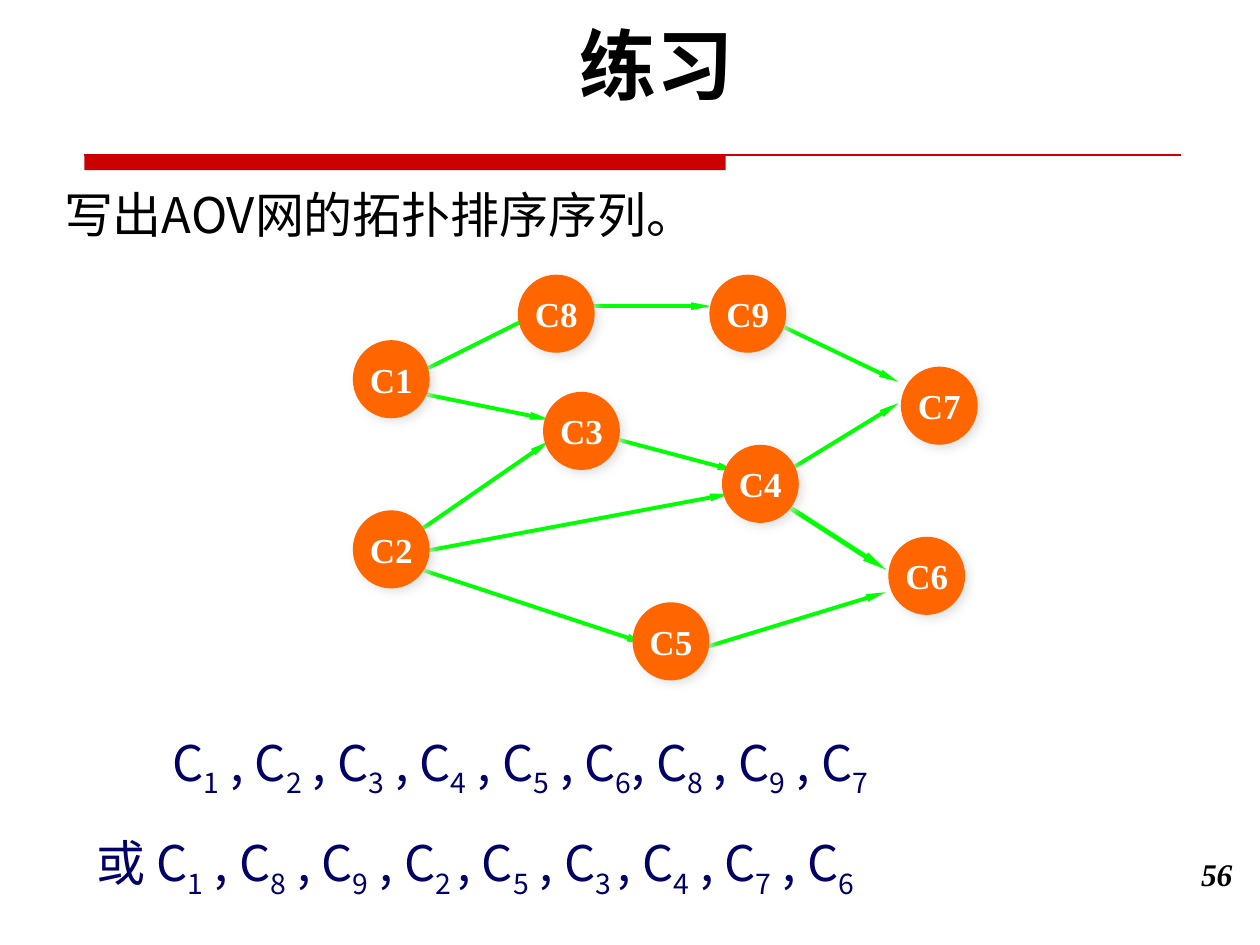
"""Build the exercise slide on topological sorting of an AOV network."""
from dataclasses import dataclass

import pptx
import pptx.dml.color
import pptx.enum.shapes
import pptx.enum.text
import pptx.oxml
import pptx.oxml.ns
import pptx.util
from pptx.util import Inches

ALIGN = pptx.enum.text.PP_ALIGN
ANCHOR = pptx.enum.text.MSO_ANCHOR
SHAPE = pptx.enum.shapes.MSO_SHAPE
STRAIGHT = pptx.enum.shapes.MSO_CONNECTOR.STRAIGHT


@dataclass(frozen=True)
class Theme:
    """Colours, fonts and type sizes of the slide."""
    rule: str = "CC0000"
    edge: str = "00FF00"
    node: str = "FF6600"
    node_text: str = "FFFFFF"
    shadow: str = "DDDDDD"
    answer: str = "000066"
    text: str = "000000"
    title_font: str = "Lato"
    body_font: str = "Noto Sans CJK SC"
    label_font: str = "Times New Roman"
    title_size: int = 44
    body_size: int = 28
    node_size: int = 20
    number_size: int = 18


@dataclass(frozen=True)
class Box:
    """A region of the slide in inches."""
    left: float
    top: float
    width: float
    height: float

    def lengths(self):
        """Return the region as slide lengths."""
        return [Inches(value) for value in (self.left, self.top, self.width, self.height)]


THEME = Theme()
NODE_WIDTH, NODE_HEIGHT = 0.61, 0.62
NODES = {
    "C8": (1.31, 0), "C3": (1.51, 0.93), "C5": (2.22, 2.6),
    "C4": (2.93, 1.35), "C9": (2.83, 0), "C6": (4.25, 2.08),
    "C7": (4.35, 0.73), "C1": (0, 0.52), "C2": (0, 1.87),
}
EDGES = [
    (3.3, 1.74, 4.23, 2.34, 2.75),
    (0.33, 2.27, 2.33, 2.93, 2.25),
    (0.43, 2.1, 1.56, 1.32, 2.25),
    (0.38, 0.91, 1.56, 1.15, 2.25),
    (0.38, 0.85, 1.46, 0.31, 2.25),
    (1.76, 0.25, 2.84, 0.25, 2.25),
    (1.92, 1.26, 3.05, 1.56, 2.25),
    (0.43, 2.22, 2.99, 1.74, 2.25),
    (3.2, 0.31, 4.33, 0.85, 2.25),
    (3.35, 1.62, 4.33, 1.02, 2.25),
    (2.69, 2.99, 4.23, 2.52, 2.25),
]
ANSWERS = [
    (0.6, "C_1_ , C_2_ , C_3_ , C_4_ , C_5_ , C_6_, C_8_ , C_9_ , C_7"),
    (0, "或 C_1_ , C_8_ , C_9_ , C_2 _, C_5_ , C_3 _, C_4_ , C_7_ , C_6"),
]


def rgb(value):
    """Return a colour from its hex code."""
    return pptx.dml.color.RGBColor.from_string(value)


def add_run(paragraph, text, font, size, color, bold=False, italic=False, subscript=False):
    """Add one styled run to a paragraph."""
    run = paragraph.add_run()
    run.text = text
    run.font.name = font
    run.font.size = pptx.util.Pt(size)
    run.font.color.rgb = rgb(color)
    run.font.bold = bold
    run.font.italic = italic
    properties = run.font._element
    east_asian = pptx.oxml.parse_xml(
        f'<a:ea {pptx.oxml.ns.nsdecls("a")} typeface="{THEME.body_font}"/>')
    properties.append(east_asian)
    if subscript:
        properties.set("baseline", "-25000")


def add_text_frame(slide, box, anchor=ANCHOR.TOP):
    """Add a wrapping text box and return its frame."""
    frame = slide.shapes.add_textbox(*box.lengths()).text_frame
    frame.word_wrap = True
    frame.vertical_anchor = anchor
    return frame


def add_line(slide, start, end, color, width):
    """Draw a straight line without a shadow."""
    points = [Inches(value) for value in (*start, *end)]
    connector = slide.shapes.add_connector(STRAIGHT, *points)
    connector.line.color.rgb = rgb(color)
    connector.line.width = pptx.util.Pt(width)
    connector._element.spPr.append(
        pptx.oxml.parse_xml(f'<a:effectLst {pptx.oxml.ns.nsdecls("a")}/>'))
    return connector


def add_solid_shape(slide, kind, box, color):
    """Draw a filled shape without outline or shadow."""
    shape = slide.shapes.add_shape(kind, *box.lengths())
    shape.shadow.inherit = False
    shape.fill.solid()
    shape.fill.fore_color.rgb = rgb(color)
    shape.line.fill.background()
    return shape


def add_title_rule(slide, box):
    """Draw the thick bar and the thin rule below the title."""
    bar = Box(box.left, box.top, 5.09, box.height)
    add_solid_shape(slide, SHAPE.RECTANGLE, bar, THEME.rule)
    add_line(slide, (box.left, box.top), (box.left + box.width, box.top), THEME.rule, 0.75)


def add_title(slide, box):
    """Write the centred title."""
    paragraph = add_text_frame(slide, box).paragraphs[0]
    paragraph.alignment = ALIGN.CENTER
    paragraph.line_spacing = 0.9
    add_run(paragraph, "练习", THEME.title_font, THEME.title_size, THEME.text, bold=True)


def add_question(slide, box):
    """Write the question above the graph."""
    frame = add_text_frame(slide, box, ANCHOR.BOTTOM)
    add_run(frame.paragraphs[0], "写出AOV网的拓扑排序序列。",
            THEME.body_font, THEME.body_size, THEME.text)


def add_edge(slide, box, edge):
    """Draw one arrow of the graph."""
    x1, y1, x2, y2, width = edge
    connector = add_line(slide, (box.left + x1, box.top + y1),
                         (box.left + x2, box.top + y2), THEME.edge, width)
    connector.line._get_or_add_ln().append(pptx.oxml.parse_xml(
        f'<a:tailEnd {pptx.oxml.ns.nsdecls("a")} type="triangle" w="sm" len="lg"/>'))


def add_node(slide, box, label):
    """Draw one labelled graph node with a soft shadow."""
    node = add_solid_shape(slide, SHAPE.OVAL, box, THEME.node)
    effects = node._element.spPr.find(pptx.oxml.ns.qn("a:effectLst"))
    effects.append(pptx.oxml.parse_xml(
        f'<a:outerShdw {pptx.oxml.ns.nsdecls("a")} blurRad="63500" dist="38100" dir="2700000">'
        f'<a:srgbClr val="{THEME.shadow}"><a:alpha val="75000"/></a:srgbClr></a:outerShdw>'))
    frame = node.text_frame
    frame.word_wrap = False
    frame.vertical_anchor = ANCHOR.MIDDLE
    paragraph = frame.paragraphs[0]
    paragraph.alignment = ALIGN.CENTER
    add_run(paragraph, label, THEME.label_font, THEME.node_size, THEME.node_text, bold=True)


def add_graph(slide, box):
    """Draw the AOV network with its arrows behind the nodes."""
    for edge in EDGES:
        add_edge(slide, box, edge)
    for label, (x, y) in NODES.items():
        add_node(slide, Box(box.left + x, box.top + y, NODE_WIDTH, NODE_HEIGHT), label)


def add_answers(slide, box):
    """Write the sorted sequences, with subscripts between underscores."""
    frame = add_text_frame(slide, box)
    for index, (indent, sequence) in enumerate(ANSWERS):
        paragraph = frame.add_paragraph() if index else frame.paragraphs[0]
        paragraph.line_spacing = 1.5
        paragraph._p.get_or_add_pPr().set("marL", str(Inches(indent)))
        for position, part in enumerate(sequence.split("_")):
            add_run(paragraph, part, THEME.body_font, THEME.body_size, THEME.answer,
                    subscript=position % 2 == 1)


def add_page_number(slide, box):
    """Write the page number at the right."""
    paragraph = add_text_frame(slide, box).paragraphs[0]
    paragraph.alignment = ALIGN.RIGHT
    add_run(paragraph, "56", THEME.label_font, THEME.number_size, THEME.text,
            bold=True, italic=True)


def main():
    """Build and save the presentation."""
    presentation = pptx.Presentation()
    presentation.slide_width, presentation.slide_height = Inches(10), Inches(7.5)
    slide = presentation.slides.add_slide(presentation.slide_layouts[6])
    add_title_rule(slide, Box(0.67, 1.23, 8.7, 0.12))
    add_answers(slide, Box(0.67, 5.5, 9.08, 1.8))
    add_graph(slide, Box(2.8, 2.18, 4.96, 3.22))
    add_page_number(slide, Box(8.86, 6.74, 1.02, 0.5))
    add_question(slide, Box(0.41, 1.32, 8.88, 0.66))
    add_title(slide, Box(0.67, 0.17, 9.08, 0.83))
    presentation.save("out.pptx")


if __name__ == "__main__":
    main()
